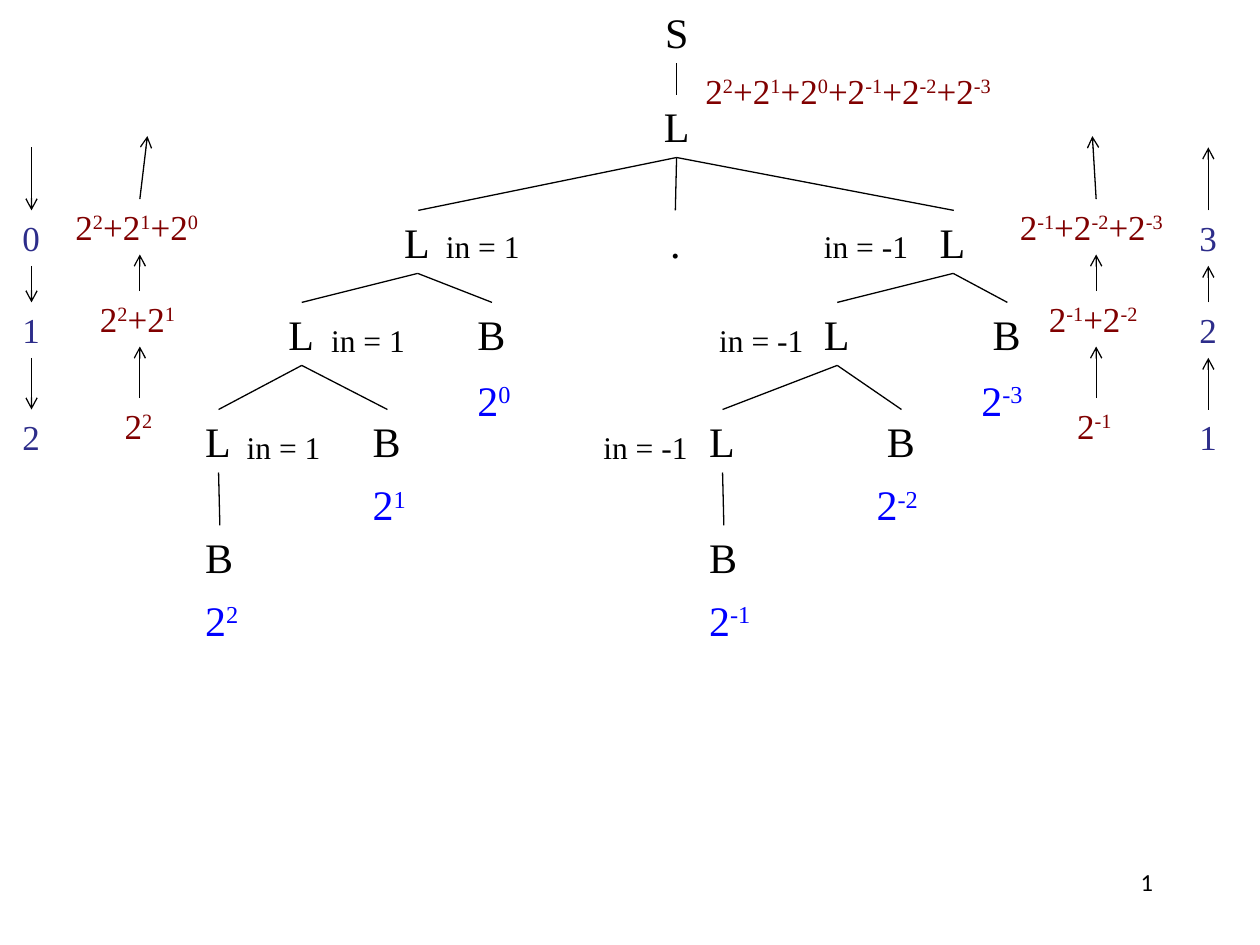
from lxml.etree import SubElement
from pptx import Presentation
from pptx.dml.color import RGBColor
from pptx.enum.shapes import MSO_CONNECTOR
from pptx.enum.text import MSO_AUTO_SIZE, PP_ALIGN
from pptx.oxml.ns import qn
from pptx.util import Inches, Pt

COLORS = {"ink": "000000", "power": "0000FF", "index": "2D2D8A", "sum": "800000"}
SERIF = "Times New Roman"
ROWS = (0, 0.73, 1.58, 2.5)
POWER_ROWS = (1.25, 2.08, 3)
ARROW_SPANS = ((-0.5, 0), (0.44, 0.73), (1.17, 1.58))
NODE_HEIGHT, LABEL_HEIGHT, SUM_HEIGHT = 0.5, 0.4, 0.44
L_WIDTH, B_WIDTH = 0.41, 0.43


def add_text(slide, box, text, size, color="ink", font=SERIF, align=PP_ALIGN.LEFT, fit=True):
    """Add a text box; text is a string or a list of exponents of two."""
    shape = slide.shapes.add_textbox(*map(Inches, box))
    frame = shape.text_frame
    frame.word_wrap = not fit
    if fit:
        frame.auto_size = MSO_AUTO_SIZE.SHAPE_TO_FIT_TEXT
    paragraph = frame.paragraphs[0]
    paragraph.alignment = align
    paragraph.font.name = font
    paragraph.font.size = Pt(size)
    paragraph.font.color.rgb = RGBColor.from_string(COLORS[color])
    if isinstance(text, str):
        paragraph.add_run().text = text
        return
    for position, exponent in enumerate(text):
        paragraph.add_run().text = "+2" if position else "2"
        raised = paragraph.add_run()
        raised.text = str(exponent)
        raised._r.get_or_add_rPr().set("baseline", "30000")


def add_line(slide, start, end, arrow=False):
    """Draw a thin line, with an open arrowhead at its end on request."""
    line = slide.shapes.add_connector(MSO_CONNECTOR.STRAIGHT, *map(Inches, (*start, *end)))
    line.line.width = Pt(0.75)
    line.line.color.rgb = RGBColor.from_string(COLORS["ink"])
    if arrow:
        SubElement(line.line._get_or_add_ln(), qn("a:tailEnd"), type="arrow")
    SubElement(line._element.spPr, qn("a:effectLst"))


def add_root(slide, left, top, branches):
    """Draw the root, the full list below it, its sum and the three branches."""
    center = left + 0.2
    add_text(slide, (left + 0.01, top, 0.39, NODE_HEIGHT), "S", 24)
    add_text(slide, (left, top + 0.75, L_WIDTH, NODE_HEIGHT), "L", 24)
    add_text(slide, (left + 0.05, top + 1.67, 0.29, NODE_HEIGHT), ".", 24)
    add_text(slide, (left + 0.33, top + 0.5, 2.58, SUM_HEIGHT), range(2, -4, -1), 20, "sum")
    add_line(slide, (center, top + 0.5), (center, top + 0.75))
    for branch in branches:
        add_line(slide, (center, top + 1.25), (branch, top + 1.67))


def add_subtree(slide, left, top, lists, bits, labels, label, label_width, exponents, power_width):
    """Draw a chain of L nodes with its B leaves, inherited labels and powers."""
    children = (*lists[1:], None)
    powers = (2.16, 1.33, 0)
    for level, (node, child, bit) in enumerate(zip(lists, children, bits)):
        row, next_row = top + ROWS[level], top + ROWS[level + 1]
        parent = (left + node + L_WIDTH / 2, row + NODE_HEIGHT)
        add_text(slide, (left + node, row, L_WIDTH, NODE_HEIGHT), "L", 24)
        add_text(slide, (left + bit, next_row, B_WIDTH, NODE_HEIGHT), "B", 24)
        add_line(slide, parent, (left + bit + B_WIDTH / 2, next_row))
        if child is not None:
            add_line(slide, parent, (left + child + L_WIDTH / 2, next_row))
        label_top = row + (0.1 if level else 0.08)
        add_text(slide, (left + labels[level], label_top, label_width, LABEL_HEIGHT), label, 18)
        power_box = (left + powers[level], top + POWER_ROWS[level], power_width, NODE_HEIGHT)
        add_text(slide, power_box, [exponents[level]], 24, "power")


def add_column(slide, center, top, items, widths, color, upward=True, lean=0):
    """Stack three values around a centre line, joined by arrows."""
    for item, width, row, (start, end) in zip(items, widths, ROWS, ARROW_SPANS):
        add_text(slide, (center - width / 2, top + row, width, SUM_HEIGHT), item, 20, color)
        tip = center + (0 if row else lean)
        ends = ((tip, top + start), (center, top + end))
        add_line(slide, *(reversed(ends) if upward else ends), arrow=True)


def build():
    """Build and save the parse tree slide."""
    presentation = Presentation()
    presentation.slide_width, presentation.slide_height = Inches(10), Inches(7.5)
    slide = presentation.slides.add_slide(presentation.slide_layouts[6])
    add_root(slide, 5.17, 0, (3.32, 5.36, 7.57))
    add_subtree(slide, 1.53, 1.67, (1.58, 0.66, 0), (2.16, 1.33, 0),
                (1.91, 1, 0.33), "in = 1", 0.79, (0, 1, 2), 0.48)
    add_subtree(slide, 5.53, 1.67, (1.83, 0.91, 0), (2.25, 1.41, 0),
                (0.91, 0.08, -0.84), "in = -1", 0.88, (-3, -2, -1), 0.56)
    add_column(slide, 0.25, 1.67, "012", (0.34,) * 3, "index", upward=False)
    add_column(slide, 9.59, 1.67, "321", (0.34,) * 3, "index")
    add_column(slide, 1.11, 1.58, ((2, 1, 0), (2, 1), (2,)),
               (1.22, 0.83, 0.44), "sum", lean=0.06)
    add_column(slide, 8.7, 1.58, ((-1, -2, -3), (-1, -2), (-1,)),
               (1.41, 0.95, 0.5), "sum", lean=-0.03)
    add_text(slide, (7.17, 6.83, 2.08, 0.5), "1", 14, font="Calibri",
             align=PP_ALIGN.RIGHT, fit=False)
    presentation.save("out.pptx")


build()
